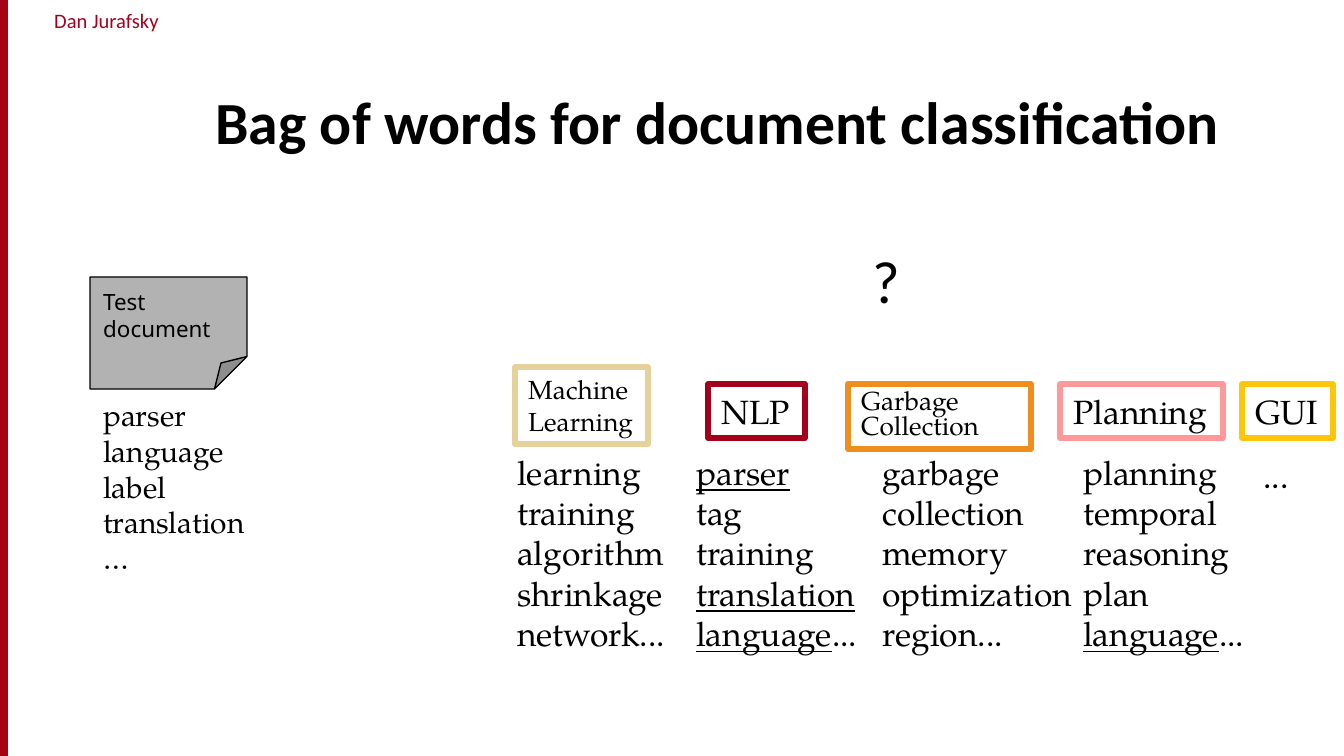
from dataclasses import dataclass

from lxml import etree
from pptx import Presentation
from pptx import util as u
from pptx.dml import color
from pptx.enum import shapes, text
from pptx.oxml import ns

PX = 914400 / 134.4
SERIF = "TeX Gyre Pagella"
SANS = "Calibri"
HUES = {
    "black": "000000", "red": "A4001D", "bar": "A40508", "sand": "E7D19A",
    "orange": "EF8E1C", "pink": "FF9999", "gold": "FEC60B", "gray": "B2B2B2",
}


@dataclass(frozen=True)
class Area:
    x: int
    y: int
    w: int
    h: int

    def emu(self) -> list[u.Emu]:
        return [u.Emu(round(n * PX)) for n in (self.x, self.y, self.w, self.h)]


@dataclass(frozen=True)
class Style:
    size: int = 18
    font: str = SERIF
    hue: str = "black"
    bold: bool = False
    wrap: bool = False
    space: float = 1.0
    align: text.PP_ALIGN = text.PP_ALIGN.LEFT
    anchor: text.MSO_ANCHOR = text.MSO_ANCHOR.TOP


@dataclass(frozen=True)
class Label:
    area: Area
    lines: tuple[str, ...]
    hue: str
    style: Style = Style()


@dataclass(frozen=True)
class Words:
    area: Area
    lines: tuple[str, ...]
    style: Style = Style()
    shared: tuple[str, ...] = ()


def rgb(name: str) -> color.RGBColor:
    return color.RGBColor.from_string(HUES[name])


def write(shape, lines: tuple[str, ...], style: Style,
          shared: tuple[str, ...] = ()) -> None:
    frame = shape.text_frame
    frame.word_wrap = style.wrap
    frame.vertical_anchor = style.anchor
    for i, line in enumerate(lines):
        para = frame.paragraphs[0] if i == 0 else frame.add_paragraph()
        para.alignment = style.align
        para.line_spacing = style.space
        stem = line.removesuffix("...")
        parts = (stem, line[len(stem):]) if stem in shared else (line,)
        for part in filter(None, parts):
            run = para.add_run()
            run.text = part
            font = run.font
            font.name, font.size = style.font, u.Pt(style.size)
            font.bold = style.bold
            font.underline = part in shared
            font.color.rgb = rgb(style.hue)


def form(slide, kind: shapes.MSO_SHAPE, area: Area, line: str,
         width: float, fill: str | None = None):
    shape = slide.shapes.add_shape(kind, *area.emu())
    shape.shadow.inherit = False
    shape.line.color.rgb = rgb(line)
    shape.line.width = u.Pt(width)
    if fill:
        shape.fill.solid()
        shape.fill.fore_color.rgb = rgb(fill)
    else:
        shape.fill.background()
    return shape


def set_fold(shape, share: float) -> None:
    guides = shape._element.spPr.find(".//" + ns.qn("a:avLst"))
    etree.SubElement(guides, ns.qn("a:gd"), name="adj",
                     fmla=f"val {round(share * 100000)}")


def add_label(slide, item: Label) -> None:
    shape = form(slide, shapes.MSO_SHAPE.RECTANGLE, item.area, item.hue, 3)
    write(shape, item.lines, item.style)


def add_words(slide, item: Words):
    box = slide.shapes.add_textbox(*item.area.emu())
    write(box, item.lines, item.style, item.shared)
    return box


SMALL = Style(size=14, wrap=True)
TIGHT = Style(size=14, wrap=True, space=0.8)
LABELS = (
    Label(Area(515, 367, 133, 77), ("Machine Learning",), "sand", SMALL),
    Label(Area(708, 384, 97, 54), ("NLP",), "red"),
    Label(Area(848, 384, 183, 65), ("Garbage", "Collection"), "orange", TIGHT),
    Label(Area(1060, 384, 163, 54), ("Planning",), "pink"),
    Label(Area(1242, 384, 91, 54), ("GUI",), "gold"),
)
TOP, TALL = 445, 218
LISTS = (
    Words(Area(504, TOP, 179, TALL),
          ("learning", "training", "algorithm", "shrinkage", "network...")),
    Words(Area(683, TOP, 191, TALL),
          ("parser", "tag", "training", "translation", "language..."),
          shared=("parser", "translation", "language")),
    Words(Area(869, TOP, 220, TALL),
          ("garbage", "collection", "memory", "optimization", "region...")),
    Words(Area(1070, TOP, 191, TALL),
          ("planning", "temporal", "reasoning", "plan", "language..."),
          shared=("language",)),
    Words(Area(1250, 448, 52, 54), ("...",)),
    Words(Area(90, 390, 171, 195),
          ("parser", "language", "label", "translation", "…"), Style(size=16)),
    Words(Area(859, 237, 55, 86), ("?",), Style(size=32, font=SANS)),
    Words(Area(202, 54, 1098, 109), ("Bag of words for document classification",),
          Style(size=32, font=SANS, bold=True, wrap=True,
                anchor=text.MSO_ANCHOR.BOTTOM)),
)


def main() -> None:
    deck = Presentation()
    deck.slide_width, deck.slide_height = Area(0, 0, 1344, 756).emu()[2:]
    slide = deck.slides.add_slide(deck.slide_layouts[6])

    form(slide, shapes.MSO_SHAPE.RECTANGLE, Area(0, 0, 7, 756), "red", 0.75, "bar")
    name = add_words(slide, Words(
        Area(11, 1, 191, 39), ("Dan Jurafsky",),
        Style(size=11, font=SANS, hue="red", wrap=True, align=text.PP_ALIGN.CENTER)))
    name.text_frame.margin_left = name.text_frame.margin_right = 0

    for label in LABELS:
        add_label(slide, label)
    note = form(slide, shapes.MSO_SHAPE.FOLDED_CORNER, Area(90, 277, 157, 112),
                "black", 0.75, "gray")
    set_fold(note, 0.29)
    write(note, ("Test", "document"), Style(size=12, font="Noto Sans", wrap=True))
    note.text_frame.margin_top = u.Emu(round(11 * PX))
    for words in LISTS:
        add_words(slide, words)
    deck.save("out.pptx")


if __name__ == "__main__":
    main()
